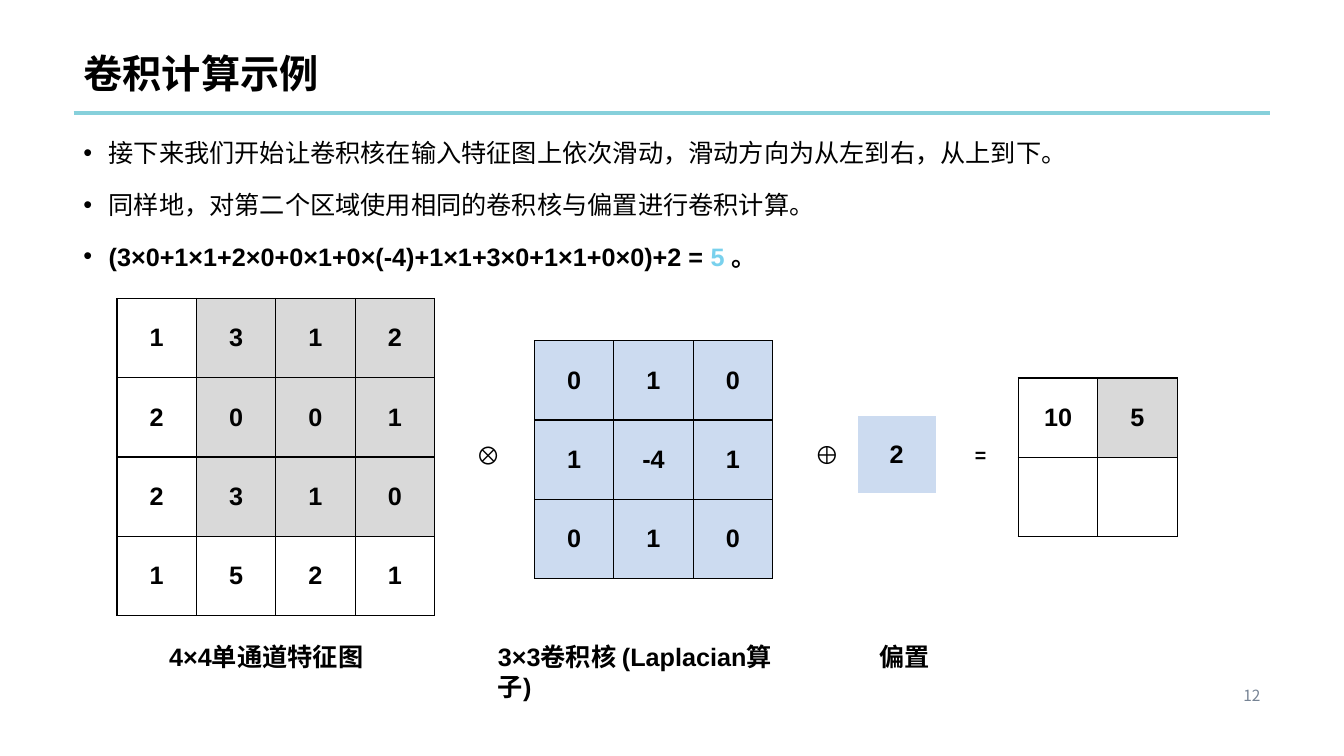
import pptx
import pptx.dml.color
import pptx.enum.shapes
import pptx.enum.text
import pptx.oxml
import pptx.oxml.ns
import pptx.util
from dataclasses import dataclass
from lxml import etree

Inches = pptx.util.Inches
Pt = pptx.util.Pt
Align = pptx.enum.text.PP_ALIGN
Anchor = pptx.enum.text.MSO_ANCHOR
qn = pptx.oxml.ns.qn


@dataclass(frozen=True)
class Theme:
    latin: str = "Arial"
    chinese: str = "Noto Sans CJK SC"
    black: str = "000000"
    white: str = "FFFFFF"
    rule: str = "86D0DB"
    result: str = "79D1ED"
    region: str = "D9D9D9"
    kernel: str = "CCDBF0"
    muted: str = "768394"
    title: int = 28
    body: int = 18
    sign: int = 14
    number: int = 11
    cell: float = 0.7875


THEME = Theme()
FEATURE_MAP = [["1", "3", "1", "2"], ["2", "0", "0", "1"], ["2", "3", "1", "0"], ["1", "5", "2", "1"]]
LAPLACIAN = [["0", "1", "0"], ["1", "-4", "1"], ["0", "1", "0"]]
OUTPUT = [["10", "5"], ["", ""]]
EQUATION = "(3×0+1×1+2×0+0×1+0×(-4)+1×1+3×0+1×1+0×0)+2 = "
BULLETS = [
    [("接下来我们开始让卷积核在输入特征图上依次滑动，滑动方向为从左到右，从上到下。", {})],
    [("同样地，对第二个区域使用相同的卷积核与偏置进行卷积计算。", {})],
    [(EQUATION, {"bold": True}), ("5 ", {"bold": True, "color": THEME.result}), ("。", {"bold": True})],
]


def rgb(color):
    return pptx.dml.color.RGBColor.from_string(color)


def set_format(target, values):
    for name, value in values.items():
        setattr(target, name, value)


def add_run(paragraph, text, size=THEME.body, color=THEME.black, bold=False, latin=THEME.latin):
    run = paragraph.add_run()
    run.text = text
    run.font.color.rgb = rgb(color)
    set_format(run.font, {"size": Pt(size), "bold": bold, "name": latin})
    east_asian = etree.SubElement(run.font._element, qn("a:ea"))
    east_asian.set("typeface", THEME.chinese)


def add_text(slide, box, text, align=Align.LEFT, wrap=True, **style):
    shape = slide.shapes.add_textbox(*map(Inches, box))
    shape.text_frame.word_wrap = wrap
    paragraph = shape.text_frame.paragraphs[0]
    paragraph.alignment = align
    add_run(paragraph, text, **style)


def add_heading(slide, box, text):
    left, top, width, height = box
    title = slide.shapes.title
    set_format(title, dict(zip(("left", "top", "width", "height"), map(Inches, box))))
    set_format(title.text_frame, {
        "vertical_anchor": Anchor.BOTTOM,
        "word_wrap": True,
        "auto_size": pptx.enum.text.MSO_AUTO_SIZE.NONE,
    })
    paragraph = title.text_frame.paragraphs[0]
    set_format(paragraph, {"alignment": Align.LEFT, "line_spacing": 0.9})
    add_run(paragraph, text, size=THEME.title, bold=True)

    rule_top = Inches(top + height + 0.11)
    rule = slide.shapes.add_connector(
        pptx.enum.shapes.MSO_CONNECTOR.STRAIGHT,
        Inches(left), rule_top, Inches(left + width), rule_top)
    rule.line.color.rgb = rgb(THEME.rule)
    rule.line.width = Pt(3)
    etree.SubElement(rule._element.spPr, qn("a:effectLst"))


def add_bullets(slide, box, bullets):
    frame = slide.shapes.add_textbox(*map(Inches, box)).text_frame
    frame.word_wrap = True
    for index, runs in enumerate(bullets):
        paragraph = frame.add_paragraph() if index else frame.paragraphs[0]
        properties = paragraph._p.get_or_add_pPr()
        properties.set("marL", str(Inches(0.25)))
        properties.set("indent", str(-Inches(0.25)))
        etree.SubElement(properties, qn("a:buFont")).set("typeface", THEME.latin)
        etree.SubElement(properties, qn("a:buChar")).set("char", "•")
        set_format(paragraph, {"line_spacing": 1.25, "space_before": Pt(10 if index else 0)})
        for text, style in runs:
            add_run(paragraph, text, **style)


def add_border(cell, color, bottom_width):
    properties = cell._tc.get_or_add_tcPr()
    for side in ("L", "R", "T", "B"):
        width = Pt(bottom_width if side == "B" else 1)
        line = etree.SubElement(properties, qn(f"a:ln{side}"), w=str(width))
        fill = etree.SubElement(line, qn("a:solidFill"))
        etree.SubElement(fill, qn("a:srgbClr"), val=color)


def add_matrix(slide, left, top, values, fill_for, border=THEME.black, bottom_width=1):
    rows, columns = len(values), len(values[0])
    table = slide.shapes.add_table(
        rows, columns, Inches(left), Inches(top),
        Inches(columns * THEME.cell), Inches(rows * THEME.cell)).table
    set_format(table, {"first_row": False, "horz_banding": False})
    for row, row_values in enumerate(values):
        for column, value in enumerate(row_values):
            cell = table.cell(row, column)
            cell.vertical_anchor = Anchor.MIDDLE
            add_border(cell, border, bottom_width)
            cell.fill.solid()
            cell.fill.fore_color.rgb = rgb(fill_for(row, column))
            paragraph = cell.text_frame.paragraphs[0]
            paragraph.alignment = Align.CENTER
            if value:
                add_run(paragraph, value, bold=True)


def add_convolution(slide, box):
    left, top, width, height = box
    add_matrix(slide, left, top, FEATURE_MAP,
               lambda row, column: THEME.region if row < 3 and column > 0 else THEME.white)
    add_matrix(slide, left + 4.14, top + 0.42, LAPLACIAN, lambda row, column: THEME.kernel)
    add_matrix(slide, left + 7.34, top + 1.16, [["2"]], lambda row, column: THEME.kernel,
               THEME.white, 3)
    add_matrix(slide, left + 8.94, top + 0.79, OUTPUT,
               lambda row, column: THEME.region if (row, column) == (0, 1) else THEME.white)

    for offset, operator in ((3.46, "⊗"), (6.82, "⊕")):
        add_text(slide, (left + offset, top + 1.35, 0.43, 0.4), operator)
    add_text(slide, (left + 8.41, top + 1.38, 0.32, 0.34), "=", wrap=False,
             size=THEME.sign, bold=True)

    labels = (
        (0.42, 2.19, "4×4单通道特征图", False),
        (3.68, 3.2, "3×3卷积核 (Laplacian算子)", True),
        (7.46, 0.71, "偏置", False),
    )
    for offset, label_width, text, wrap in labels:
        add_text(slide, (left + offset, top + height - 0.4, label_width, 0.4), text,
                 wrap=wrap, bold=True)


def main():
    presentation = pptx.Presentation()
    set_format(presentation, {"slide_width": Inches(13.33), "slide_height": Inches(7.5)})
    slide = presentation.slides.add_slide(presentation.slide_layouts[5])
    add_heading(slide, (0.73, 0, 11.87, 1.01), "卷积计算示例")
    add_bullets(slide, (0.73, 1.24, 11.87, 1.6), BULLETS)
    add_convolution(slide, (1.16, 2.96, 10.51, 3.75))
    add_text(slide, (10.96, 6.76, 1.64, 0.29), "12", align=Align.RIGHT,
             size=THEME.number, color=THEME.muted, latin=THEME.chinese)
    presentation.save("out.pptx")


if __name__ == "__main__":
    main()
